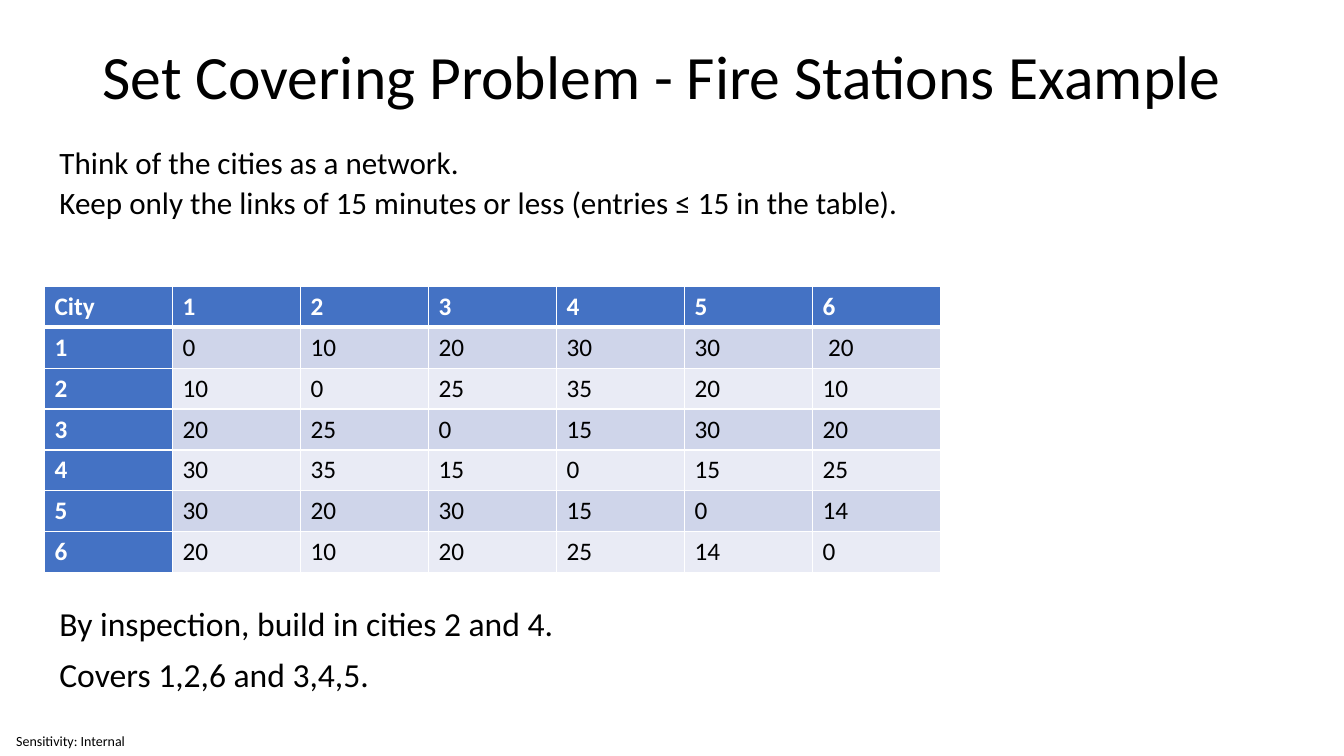
import pptx
import pptx.dml.color
import pptx.enum.text
import pptx.oxml
import pptx.oxml.ns
import pptx.util

Pt = pptx.util.Pt
ALIGN = pptx.enum.text.PP_ALIGN
ANCHOR = pptx.enum.text.MSO_ANCHOR

# Content
TITLE = "Set Covering Problem - Fire Stations Example"
INTRO = [
    "Think of the cities as a network.",
    "Keep only the links of 15 minutes or less (entries ≤ 15 in the table).",
]
TRAVEL_TIMES = [
    ("City", "1", "2", "3", "4", "5", "6"),
    ("1", "0", "10", "20", "30", "30", " 20"),
    ("2", "10", "0", "25", "35", "20", "10"),
    ("3", "20", "25", "0", "15", "30", "20"),
    ("4", "30", "35", "15", "0", "15", "25"),
    ("5", "30", "20", "30", "15", "0", "14"),
    ("6", "20", "10", "20", "25", "14", "0"),
]
CONCLUSION = ["By inspection, build in cities 2 and 4.", "Covers 1,2,6 and 3,4,5."]
SENSITIVITY = "Sensitivity: Internal"

# Formats
COLORS = {"text": "000000", "white": "FFFFFF", "header": "4472C4",
          "odd_row": "CFD5EA", "even_row": "E9EBF5"}
FRAME = {"word_wrap": True, "auto_size": pptx.enum.text.MSO_AUTO_SIZE.NONE}
NO_MARGINS = {side: 0 for side in
              ("margin_left", "margin_top", "margin_right", "margin_bottom")}
COLUMN_WIDTH, ROW_HEIGHT = 91.44, 29.2


def rgb(color):
    return pptx.dml.color.RGBColor.from_string(COLORS[color])


def apply(target, formats):
    for attribute, value in formats.items():
        setattr(target, attribute, value)


def place(box, left, top, width, height):
    apply(box, {"left": Pt(left), "top": Pt(top),
                "width": Pt(width), "height": Pt(height)})


def write(frame, lines, size, line_spacing=1.0, color="text", bold=False,
          align=ALIGN.LEFT):
    frame.text = "\n".join(lines)
    for number, paragraph in enumerate(frame.paragraphs):
        apply(paragraph, {"alignment": align, "line_spacing": line_spacing,
                          "space_before": Pt(10 if number else 0)})
        font = paragraph.runs[0].font
        apply(font, {"name": "Calibri", "size": Pt(size), "bold": bold})
        font.color.rgb = rgb(color)


def add_border(cell, side, width):
    line = pptx.oxml.parse_xml(
        f'<a:{side} {pptx.oxml.ns.nsdecls("a")} w="{Pt(width)}"><a:solidFill>'
        f'<a:srgbClr val="{COLORS["white"]}"/></a:solidFill></a:{side}>')
    cell._tc.get_or_add_tcPr().append(line)


presentation = pptx.Presentation()
apply(presentation, {"slide_width": Pt(960), "slide_height": Pt(540)})
slide = presentation.slides.add_slide(presentation.slide_layouts[1])

# Title
title = slide.shapes.title
place(title, 66, 28.8, 828, 55.4)
apply(title.text_frame, {**FRAME, "vertical_anchor": ANCHOR.MIDDLE})
write(title.text_frame, [TITLE], 44, 0.9)

# Introduction, without bullets
intro = slide.placeholders[1]
place(intro, 35.3, 105.8, 722, 77.8)
apply(intro.text_frame, FRAME)
write(intro.text_frame, INTRO, 22.2, 0.7)
for paragraph in intro.text_frame.paragraphs:
    properties = paragraph._p.get_or_add_pPr()
    properties.set("marL", "0")
    properties.set("indent", "0")
    properties.append(pptx.oxml.parse_xml(
        f'<a:buNone {pptx.oxml.ns.nsdecls("a")}/>'))

# Travel times between cities
row_count, column_count = len(TRAVEL_TIMES), len(TRAVEL_TIMES[0])
times = slide.shapes.add_table(
    row_count, column_count, Pt(31.8), Pt(204.6),
    Pt(COLUMN_WIDTH * column_count), Pt(ROW_HEIGHT * row_count)).table
for column in times.columns:
    column.width = Pt(COLUMN_WIDTH)
times.first_col = True
for r, values in enumerate(TRAVEL_TIMES):
    times.rows[r].height = Pt(ROW_HEIGHT)
    for c, value in enumerate(values):
        cell = times.cell(r, c)
        is_header = r == 0 or c == 0
        write(cell.text_frame, [value], 18, bold=is_header,
              color="white" if is_header else "text")
        for side, width in (("lnL", 1), ("lnR", 1), ("lnT", 3 if r == 1 else 1),
                            ("lnB", 3 if r == 0 else 1)):
            add_border(cell, side, width)
        cell.fill.solid()
        band = "odd_row" if r % 2 else "even_row"
        cell.fill.fore_color.rgb = rgb("header" if is_header else band)

# Conclusion
conclusion = slide.shapes.add_textbox(Pt(35.3), Pt(430.6), Pt(722), Pt(77.8))
apply(conclusion.text_frame, FRAME)
write(conclusion.text_frame, CONCLUSION, 24, 0.9)

# Sensitivity label
sensitivity = slide.shapes.add_textbox(0, Pt(519.1), Pt(100.8), Pt(20.9))
apply(sensitivity.text_frame,
      {**FRAME, **NO_MARGINS, "vertical_anchor": ANCHOR.MIDDLE})
write(sensitivity.text_frame, [SENSITIVITY], 10, align=ALIGN.CENTER)

presentation.save("out.pptx")
